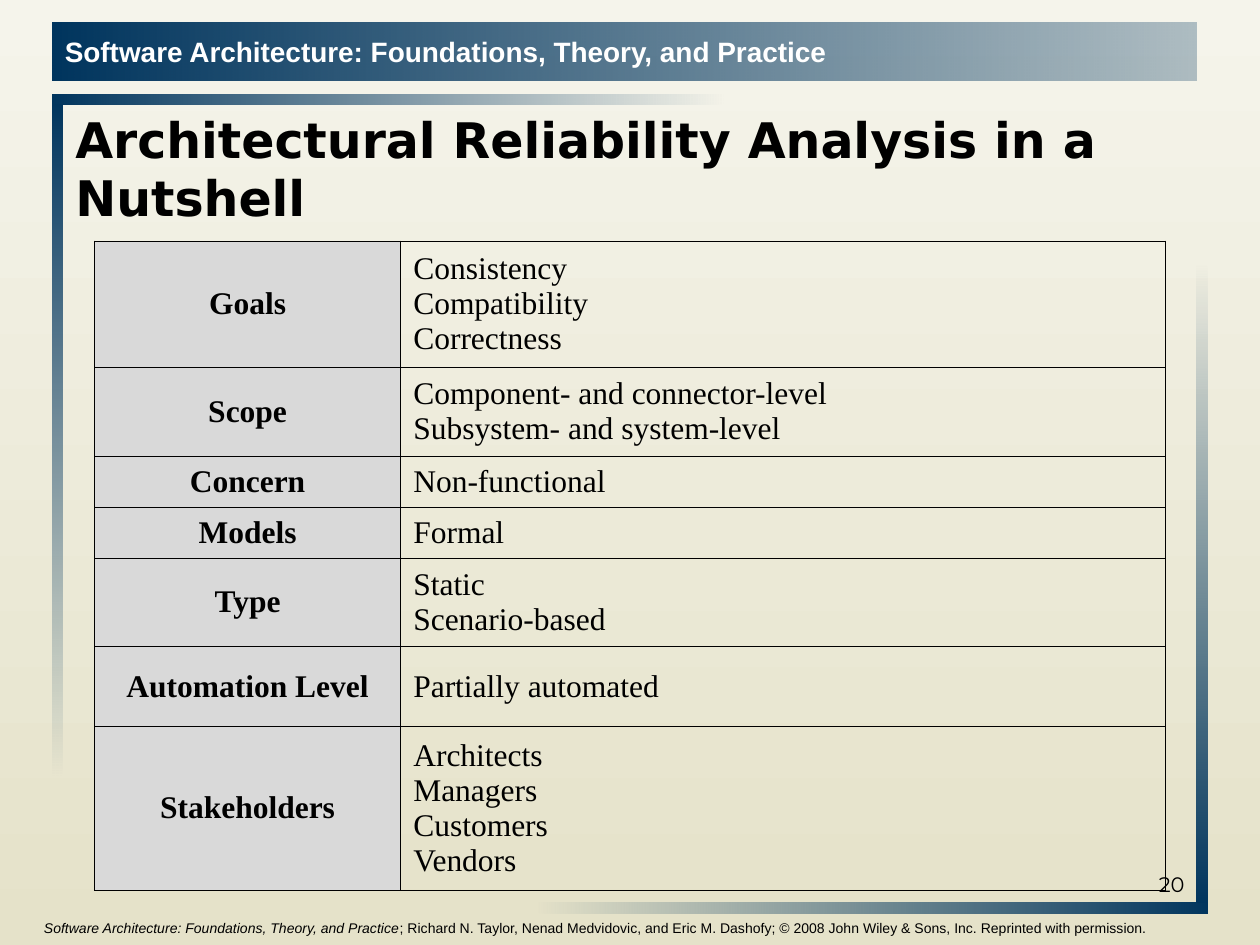
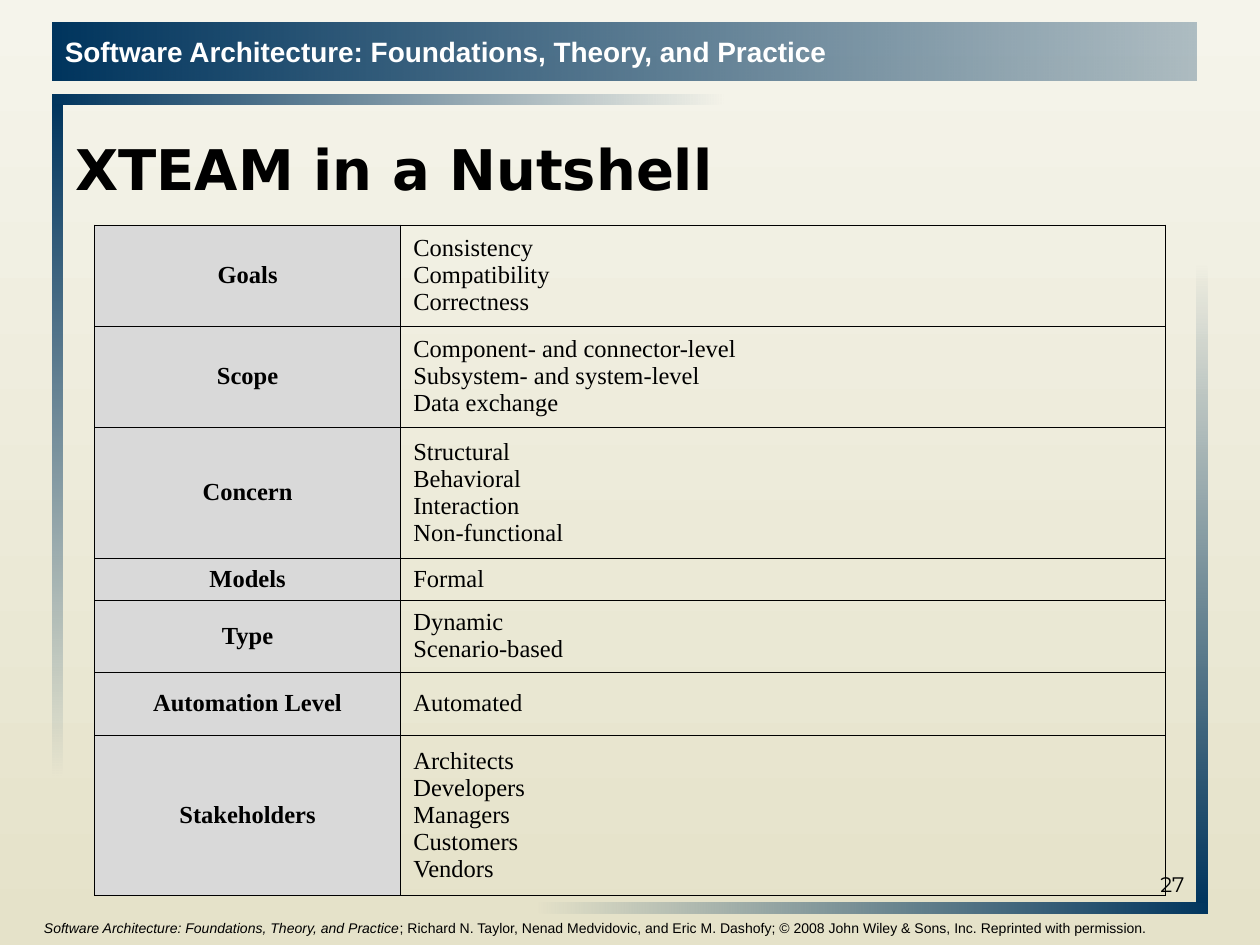
from lxml.etree import SubElement
from pptx import Presentation
from pptx.dml.color import RGBColor
from pptx.enum.shapes import MSO_SHAPE
from pptx.enum.text import MSO_ANCHOR, PP_ALIGN
from pptx.oxml.ns import qn
from pptx.util import Pt

NAVY, BLACK, WHITE, LABEL_GRAY = "00355E", "000000", "FFFFFF", "D9D9D9"
PAPER_TOP, PAPER_BOTTOM = "F5F4EB", "E5E2C9"
HEADING_FONT, BODY_FONT = "DejaVu Sans", "Times New Roman"
BAND_FONT, NUMBER_FONT = "Arial", "Montserrat"

BOOK = "Software Architecture: Foundations, Theory, and Practice"
CREDIT = ("; Richard N. Taylor, Nenad Medvidovic, and Eric M. Dashofy; "
          "© 2008 John Wiley & Sons, Inc. Reprinted with permission.")

RIGHT, DOWN = 0, 270
HEADER = (30, 13, 654, 33)
# Frame bars: place, direction, opacity at start and end in percent
FRAME_BARS = [
    ((30, 54, 384, 6), RIGHT, (100, 0)),
    ((30, 60, 6, 384), DOWN, (100, 0)),
    ((306, 516, 384, 6), RIGHT, (0, 100)),
    ((684, 150, 6, 366), DOWN, (0, 100)),
]
TABLE_LEFT, COLUMN_WIDTHS = 54, (175, 437)
ASPECTS = ["Goals", "Scope", "Concern", "Models", "Type",
           "Automation Level", "Stakeholders"]

NUTSHELLS = [
    dict(
        title="Architectural Reliability Analysis in a Nutshell",
        title_size=28, number=20, top=137.7, size=18,
        heights=[72, 50.8, 29.2, 29.2, 50.3, 45.7, 93.6],
        answers=[
            ["Consistency", "Compatibility", "Correctness"],
            ["Component- and connector-level", "Subsystem- and system-level"],
            ["Non-functional"],
            ["Formal"],
            ["Static", "Scenario-based"],
            ["Partially automated"],
            ["Architects", "Managers", "Customers", "Vendors"],
        ],
    ),
    dict(
        title="XTEAM in a Nutshell",
        title_size=32, number=27, top=128.6, size=14,
        heights=[57.7, 57.7, 74.9, 24.1, 41.1, 36, 91.4],
        answers=[
            ["Consistency", "Compatibility", "Correctness"],
            ["Component- and connector-level", "Subsystem- and system-level",
             "Data exchange"],
            ["Structural", "Behavioral", "Interaction", "Non-functional"],
            ["Formal"],
            ["Dynamic", "Scenario-based"],
            ["Automated"],
            ["Architects", "Developers", "Managers", "Customers", "Vendors"],
        ],
    ),
]


def color(value):
    return RGBColor.from_string(value)


def points(values):
    return [Pt(value) for value in values]


def set_gradient(fill, colors, angle):
    fill.gradient()
    fill.gradient_angle = angle
    for stop, value in zip(fill.gradient_stops, colors):
        stop.color.rgb = color(value)


def set_font(font, name, size, value=BLACK, bold=False):
    font.name, font.size, font.bold = name, Pt(size), bold
    font.color.rgb = color(value)


def set_borders(cell, width=0.45):
    properties = cell._tc.get_or_add_tcPr()
    for position, side in enumerate(("lnL", "lnR", "lnT", "lnB")):
        line = properties.makeelement(qn(f"a:{side}"), {"w": str(Pt(width))})
        fill = SubElement(line, qn("a:solidFill"))
        SubElement(fill, qn("a:srgbClr"), val=BLACK)
        properties.insert(position, line)


class NutshellDeck:
    """Holds the deck, the shared style and the current page."""

    def __init__(self):
        self.deck = Presentation()
        self.deck.slide_width, self.deck.slide_height = Pt(720), Pt(540)
        self.page = None

    def add_page(self):
        """Start a page with its background, frame bars and header band."""
        self.page = self.deck.slides.add_slide(self.deck.slide_layouts[6])
        set_gradient(self.page.background.fill, (PAPER_TOP, PAPER_BOTTOM), DOWN)
        for place, angle, opacities in FRAME_BARS:
            self.add_bar(place, angle, opacities)
        header = self.add_bar(HEADER, RIGHT, (100, 29))
        self.set_text(header.text_frame, [BOOK], BAND_FONT, 16, WHITE, bold=True)

    def add_bar(self, place, angle, opacities):
        """Add a navy bar that fades between two opacities."""
        bar = self.page.shapes.add_shape(MSO_SHAPE.RECTANGLE, *points(place))
        bar.shadow.inherit = False
        bar.line.fill.background()
        set_gradient(bar.fill, (NAVY, NAVY), angle)
        stop_colors = bar._element.spPr.iter(qn("a:srgbClr"))
        for stop_color, opacity in zip(stop_colors, opacities):
            SubElement(stop_color, qn("a:alpha"), val=str(opacity * 1000))
        return bar

    def set_text(self, frame, lines, name, size, value=BLACK, bold=False,
                 align=PP_ALIGN.LEFT, anchor=MSO_ANCHOR.MIDDLE):
        """Fill a text frame with one paragraph per line."""
        frame.word_wrap = True
        frame.vertical_anchor = anchor
        frame.text = "\n".join(lines)
        for para in frame.paragraphs:
            para.alignment = align
            set_font(para.font, name, size, value, bold)

    def add_text(self, place, lines, *style, **options):
        box = self.page.shapes.add_textbox(*points(place))
        self.set_text(box.text_frame, lines, *style, **options)
        return box

    def add_title(self, title, size):
        self.add_text((36, 60, 648, 72), [title], HEADING_FONT, size, bold=True)

    def add_table(self, top, heights, answers, size):
        """Add the two-column table of aspects and their answers."""
        table = self.page.shapes.add_table(
            len(ASPECTS), 2, *points((TABLE_LEFT, top, sum(COLUMN_WIDTHS),
                                      sum(heights)))).table
        table.first_row = table.horz_banding = False
        for column, width in zip(table.columns, COLUMN_WIDTHS):
            column.width = Pt(width)
        for row, height, aspect, answer in zip(table.rows, heights, ASPECTS,
                                               answers):
            row.height = Pt(height)
            label, detail = row.cells
            label.fill.solid()
            label.fill.fore_color.rgb = color(LABEL_GRAY)
            detail.fill.background()
            self.set_text(label.text_frame, [aspect], BODY_FONT, size,
                          bold=True, align=PP_ALIGN.CENTER)
            self.set_text(detail.text_frame, answer, BODY_FONT, size)
            for cell in (label, detail):
                cell.vertical_anchor = MSO_ANCHOR.MIDDLE
                set_borders(cell)

    def add_footer(self, number):
        self.add_text((516, 480, 168, 36), [str(number)], NUMBER_FONT, 12,
                      align=PP_ALIGN.RIGHT, anchor=MSO_ANCHOR.BOTTOM)
        box = self.add_text((18, 522, 650, 18), [BOOK], BAND_FONT, 8,
                            anchor=MSO_ANCHOR.TOP)
        para = box.text_frame.paragraphs[0]
        para.runs[0].font.italic = True
        para.add_run().text = CREDIT


def main():
    nutshell_deck = NutshellDeck()
    for nutshell in NUTSHELLS:
        nutshell_deck.add_page()
        nutshell_deck.add_title(nutshell["title"], nutshell["title_size"])
        nutshell_deck.add_table(nutshell["top"], nutshell["heights"],
                                nutshell["answers"], nutshell["size"])
        nutshell_deck.add_footer(nutshell["number"])
    nutshell_deck.deck.save("out.pptx")


if __name__ == "__main__":
    main()
